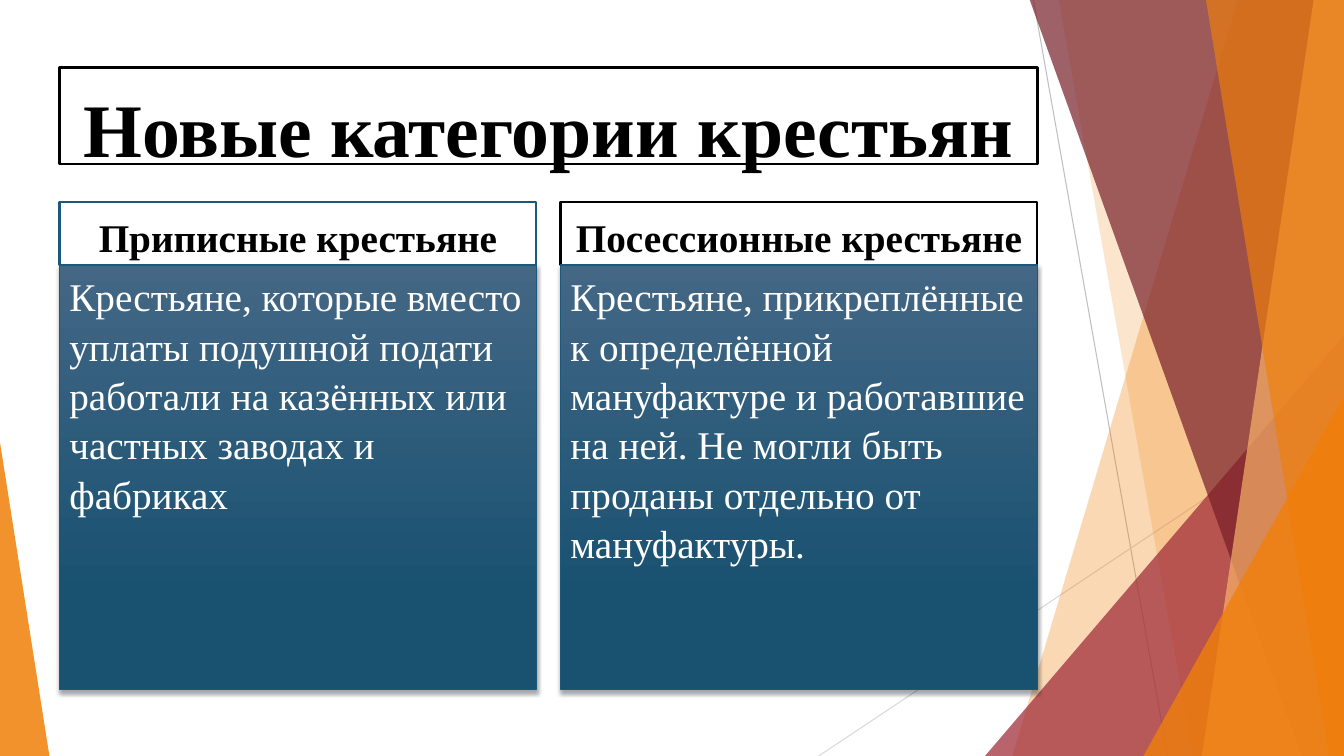
import pptx
import pptx.util
import pptx.dml.color
import pptx.enum.shapes
import pptx.enum.text
import pptx.oxml
import pptx.oxml.ns

WIDTH, HEIGHT = 13.33, 7.5
LEFT, COLUMN, GAP = 0.59, 4.73, 0.24
TITLE_TOP, TITLE_HEIGHT = 0.67, 0.96
HEADER_TOP, HEADER_HEIGHT, BODY_HEIGHT = 2, 0.63, 4.21
FONT = "Times New Roman"
ORANGE = "F07F09"
NAVY = "1B587C"
MSO_SHAPE = pptx.enum.shapes.MSO_SHAPE
ANCHOR = pptx.enum.text.MSO_ANCHOR
ALIGN = pptx.enum.text.PP_ALIGN

CATEGORIES = [
    ("Приписные крестьяне", NAVY,
     "Крестьяне, которые вместо уплаты подушной подати работали "
     "на казённых или частных заводах и фабриках"),
    ("Посессионные крестьяне", "000000",
     "Крестьяне, прикреплённые к определённой мануфактуре и работавшие "
     "на ней. Не могли быть проданы отдельно от мануфактуры."),
]


def inches(*values):
    return [pptx.util.Inches(value) for value in values]


def color(hex_string):
    return pptx.dml.color.RGBColor.from_string(hex_string)


def add_element(parent, tag, **attributes):
    element = pptx.oxml.parse_xml(
        f"<a:{tag} {pptx.oxml.ns.nsdecls('a')}/>")
    for name, value in attributes.items():
        element.set(name, str(value))
    parent.append(element)
    return element


def set_alpha(color_element, percent):
    add_element(color_element, "alpha", val=percent * 1000)


def fill_pane(shape, fill, opacity):
    """Give a decorative pane a see-through fill and no outline."""
    shape.shadow.inherit = False
    shape.fill.solid()
    shape.fill.fore_color.rgb = color(fill)
    set_alpha(shape.fill._xPr.find(".//" + pptx.oxml.ns.qn("a:srgbClr")), opacity)
    shape.line.fill.background()


def add_pane(slide, top_x, bottom_x, fill, opacity):
    """Add a pane that runs from a slanted left side to the slide's right edge."""
    builder = slide.shapes.build_freeform(*inches(top_x, -0.01), scale=1.0)
    corners = [(WIDTH, -0.01), (WIDTH, HEIGHT), (bottom_x, HEIGHT)]
    builder.add_line_segments([inches(*corner) for corner in corners], close=True)
    fill_pane(builder.convert_to_shape(), fill, opacity)


def add_corner_triangle(slide, left, top, width, apex, fill, opacity):
    shape = slide.shapes.add_shape(
        MSO_SHAPE.ISOSCELES_TRIANGLE, *inches(left, top, width, HEIGHT - top))
    shape.adjustments[0] = apex
    fill_pane(shape, fill, opacity)


def add_thin_line(slide, start, end, line_color):
    line = slide.shapes.add_connector(
        pptx.enum.shapes.MSO_CONNECTOR.STRAIGHT, *inches(*start, *end))
    line.line.color.rgb = color(line_color)
    line.line.width = pptx.util.Pt(0.75)
    add_element(line._element.spPr, "effectLst")


def add_decoration(slide):
    add_thin_line(slide, (10.25, 0), (11.58, HEIGHT), "BFBFBF")
    add_thin_line(slide, (WIDTH, 4.03), (8.12, HEIGHT), "D9D9D9")
    add_pane(slide, 12.28, 10.04, ORANGE, 30)
    add_pane(slide, 10.5, 11.83, ORANGE, 20)
    add_corner_triangle(slide, 9.77, 3.33, 3.56, 1, "9F2936", 72)
    add_pane(slide, 10.21, 12.91, "771F28", 70)
    add_pane(slide, 13.03, 11.92, "F9B268", 70)
    add_pane(slide, 11.96, 13.18, ORANGE, 65)
    add_corner_triangle(slide, 11.34, 3.93, 1.99, 1, ORANGE, 80)
    add_corner_triangle(slide, 0, 4.39, 0.49, 0, ORANGE, 85)


def format_box(shape, line_color, line_width):
    """Outline a box on white, without a shadow."""
    shape.shadow.inherit = False
    shape.fill.solid()
    shape.fill.fore_color.rgb = color("FFFFFF")
    shape.line.color.rgb = color(line_color)
    shape.line.width = pptx.util.Pt(line_width)


def write(shape, text, size, text_color, bold, align, anchor):
    frame = shape.text_frame
    frame.word_wrap = True
    frame.auto_size = pptx.enum.text.MSO_AUTO_SIZE.NONE
    frame.vertical_anchor = anchor
    paragraph = frame.paragraphs[0]
    paragraph.alignment = align
    run = paragraph.add_run()
    run.text = text
    run.font.name = FONT
    run.font.size = pptx.util.Pt(size)
    run.font.bold = bold
    run.font.color.rgb = color(text_color)
    return paragraph


def add_title(slide, text):
    title = slide.shapes.title
    title.left, title.top, title.width, title.height = inches(
        LEFT, TITLE_TOP, 2 * COLUMN + GAP, TITLE_HEIGHT)
    format_box(title, "000000", 1.5)
    write(title, text, 54, "000000", True, ALIGN.CENTER, ANCHOR.TOP)
    title.text_frame.margin_top, title.text_frame.margin_bottom = inches(0.14, 0)


def add_header(slide, left, text, line_color):
    header = slide.shapes.add_shape(
        MSO_SHAPE.RECTANGLE, *inches(left, HEADER_TOP, COLUMN, HEADER_HEIGHT))
    format_box(header, line_color, 1.5)
    write(header, text, 28, "000000", True, ALIGN.CENTER, ANCHOR.BOTTOM)


def add_description(slide, left, text):
    card = slide.shapes.add_shape(
        MSO_SHAPE.RECTANGLE,
        *inches(left, HEADER_TOP + HEADER_HEIGHT, COLUMN, BODY_HEIGHT))
    format_box(card, NAVY, 1)
    card.fill.gradient()
    card.fill.gradient_angle = 270
    stops = [(0, "436785"), (0.78, "195171")]
    for stop, (position, stop_color) in zip(card.fill.gradient_stops, stops):
        stop.position = position
        stop.color.rgb = color(stop_color)
    effects = card._element.spPr.find(pptx.oxml.ns.qn("a:effectLst"))
    shadow = add_element(effects, "outerShdw", blurRad=pptx.util.Pt(3),
                         dist=pptx.util.Pt(2), dir=90 * 60000, rotWithShape=0)
    set_alpha(add_element(shadow, "srgbClr", val="000000"), 35)
    paragraph = write(card, text, 28, "FFFFFF", False, ALIGN.LEFT, ANCHOR.TOP)
    paragraph.line_spacing = 1.05


def main():
    presentation = pptx.Presentation()
    presentation.slide_width, presentation.slide_height = inches(WIDTH, HEIGHT)
    slide = presentation.slides.add_slide(presentation.slide_layouts[5])
    add_decoration(slide)
    add_title(slide, "Новые категории крестьян")
    for index, (name, line_color, description) in enumerate(CATEGORIES):
        left = LEFT + index * (COLUMN + GAP)
        add_header(slide, left, name, line_color)
        add_description(slide, left, description)
    presentation.save("out.pptx")


if __name__ == "__main__":
    main()
